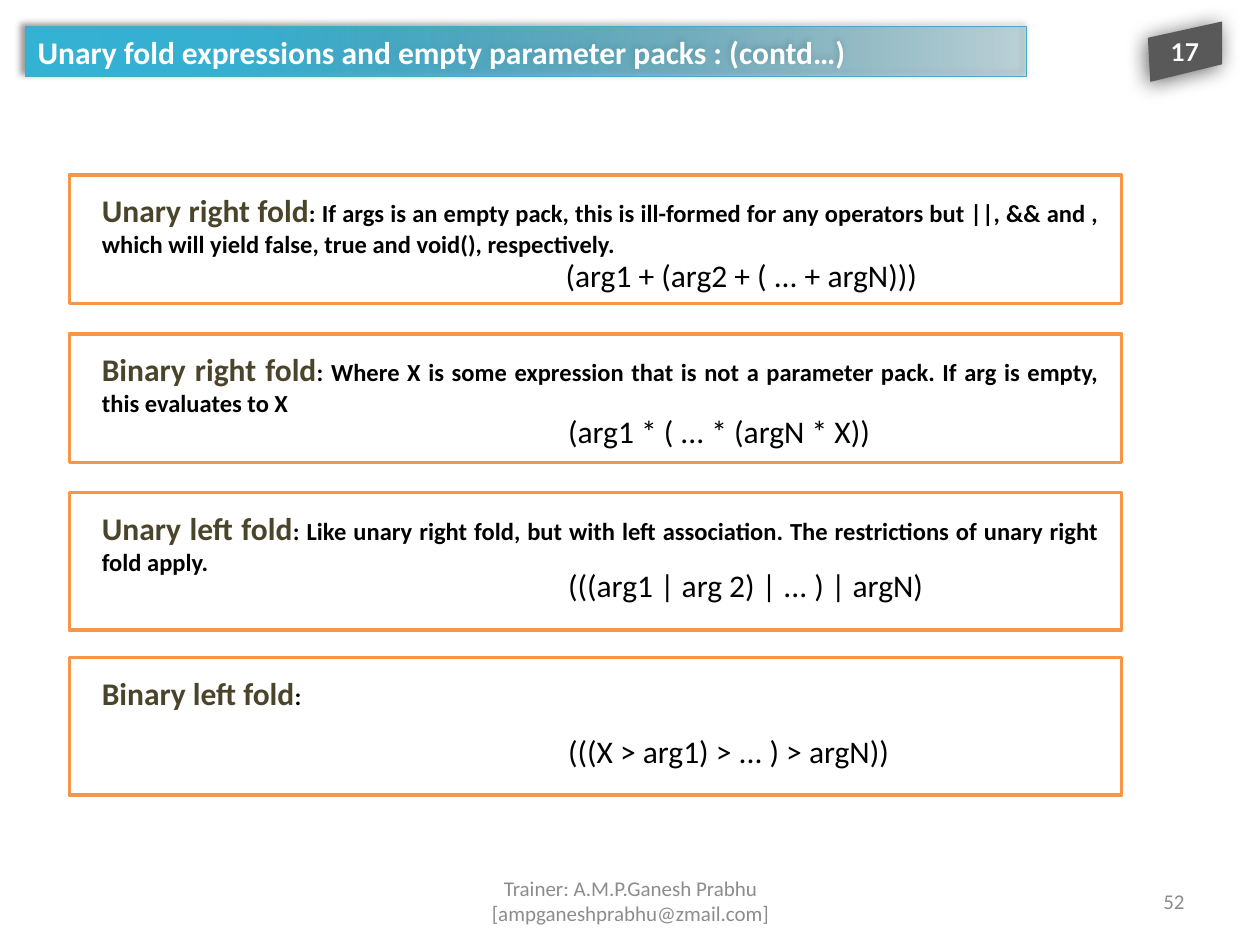
import lxml.etree
import pptx
import pptx.dml.color
import pptx.enum.shapes
import pptx.enum.text
import pptx.oxml
import pptx.oxml.ns
import pptx.util

ALIGN = pptx.enum.text.PP_ALIGN
ANCHOR = pptx.enum.text.MSO_ANCHOR
RECTANGLE = pptx.enum.shapes.MSO_SHAPE.RECTANGLE
THEME = {
    "colors": {"white": "FFFFFF", "black": "000000", "olive": "4A452A", "orange": "F79646",
               "teal": "46AAC5", "charcoal": "595959", "gray": "8C8C8C"},
    "gradient": [(0, "2A88A2", 23), (80, "37B1D2", 100), (100, "34B4D6", 100)],
    "title": {"name": "Calibri", "size": 18, "bold": True, "color": "white"},
    "badge": {"name": "Lato", "size": 14, "bold": True, "color": "white"},
    "term": {"name": "Calibri", "size": 18, "bold": True, "color": "olive"},
    "detail": {"name": "Calibri", "size": 14, "bold": True, "color": "black"},
    "formula": {"name": "Calibri", "size": 18, "bold": False, "color": "black"},
    "footer": {"name": "Calibri", "size": 12, "bold": False, "color": "gray"},
}

presentation = pptx.Presentation()
presentation.slide_width = pptx.util.Inches(10)
presentation.slide_height = pptx.util.Inches(7.5)
slide = presentation.slides.add_slide(presentation.slide_layouts[6])
column = presentation.slide_width / 100
row = presentation.slide_height / 75


def add_text(shape, runs, align=ALIGN.LEFT, anchor=ANCHOR.TOP):
    frame = shape.text_frame
    for name, value in {"word_wrap": True, "vertical_anchor": anchor}.items():
        setattr(frame, name, value)
    paragraph = frame.paragraphs[0]
    paragraph.alignment = align
    for text, style in runs:
        run = paragraph.add_run()
        run.text = text
        for name, value in THEME[style].items():
            if name == "color":
                run.font.color.rgb = pptx.dml.color.RGBColor.from_string(THEME["colors"][value])
            else:
                setattr(run.font, name, pptx.util.Pt(value) if name == "size" else value)


def add_shadow(shape, blur, distance, direction, opacity):
    namespace = pptx.oxml.ns.nsdecls("a")
    effects = pptx.oxml.parse_xml(
        f'<a:effectLst {namespace}><a:outerShdw blurRad="{pptx.util.Pt(blur)}" '
        f'dist="{pptx.util.Pt(distance)}" dir="{direction * 60000}" algn="ctr" rotWithShape="0">'
        f'<a:srgbClr val="{THEME["colors"]["black"]}"><a:alpha val="{opacity * 1000}"/></a:srgbClr>'
        '</a:outerShdw></a:effectLst>')
    shape._element.spPr.append(effects)


colors = {name: pptx.dml.color.RGBColor.from_string(value)
          for name, value in THEME["colors"].items()}

title = slide.shapes.add_shape(
    RECTANGLE, *map(int, (2 * column, 2.1 * row, 79.5 * column, 4 * row)))
title.line.color.rgb = colors["teal"]
title.line.width = pptx.util.Pt(0.75)
stops = "".join(
    f'<a:gs pos="{position * 1000}"><a:srgbClr val="{color}"><a:alpha val="{opacity * 1000}"/>'
    "</a:srgbClr></a:gs>" for position, color, opacity in THEME["gradient"])
gradient = pptx.oxml.parse_xml(
    f'<a:gradFill {pptx.oxml.ns.nsdecls("a")} rotWithShape="1"><a:gsLst>{stops}</a:gsLst>'
    '<a:lin ang="10800000" scaled="0"/></a:gradFill>')
title._element.spPr.find(pptx.oxml.ns.qn("a:prstGeom")).addnext(gradient)
add_shadow(title, 4, 3, 225, 40)
add_text(title, [("Unary fold expressions and empty parameter packs : (contd…)", "title")],
         anchor=ANCHOR.MIDDLE)

corners = [(91.1 * column, 3 * row), (97 * column, 1.7 * row),
           (97 * column, 5.1 * row), (91.3 * column, 6.5 * row)]
outline = slide.shapes.build_freeform(*map(int, corners[0]))
outline.add_line_segments([tuple(map(int, corner)) for corner in corners[1:]])
badge = outline.convert_to_shape()
badge.fill.solid()
badge.fill.fore_color.rgb = colors["charcoal"]
badge.line.fill.background()
add_shadow(badge, 12, 2, 135, 60)
for side in ("left", "top", "right", "bottom"):
    setattr(badge.text_frame, f"margin_{side}", 0)
add_text(badge, [("17", "badge")], ALIGN.CENTER, ANCHOR.MIDDLE)

folds = [
    (13.9, 10.2, 43.9, 19.8, "Unary right fold",
     ": If args is an empty pack, this is ill-formed for any operators but ||, && and , "
     "which will yield false, true and void(), respectively.",
     "(arg1 + (arg2 + ( ... + argN)))"),
    (26.5, 10.2, 44.1, 32.2, "Binary right fold",
     ": Where X is some expression that is not a parameter pack. If arg is empty, "
     "this evaluates to X",
     "(arg1 * ( ... * (argN * X))"),
    (39.1, 10.9, 44.1, 44.4, "Unary left fold",
     ": Like unary right fold, but with left association. "
     "The restrictions of unary right fold apply.",
     "(((arg1 | arg 2) | ... ) | argN)"),
    (52.2, 10.9, 44.1, 57.6, "Binary left fold", ":", "(((X > arg1) > ... ) > argN))"),
]
for top, height, formula_left, formula_top, term, detail, formula in folds:
    card = slide.shapes.add_shape(
        RECTANGLE, *map(int, (5.5 * column, top * row, 83.5 * column, height * row)))
    card.shadow.inherit = False
    card.fill.solid()
    card.fill.fore_color.rgb = colors["white"]
    card.line.color.rgb = colors["orange"]
    card.line.width = pptx.util.Pt(2)
    formula_box = slide.shapes.add_textbox(
        *map(int, (formula_left * column, formula_top * row, 37.8 * column, 4 * row)))
    add_text(formula_box, [(formula, "formula")])
    text_height = 6.4 if len(detail) > 1 else 4
    description = slide.shapes.add_textbox(
        *map(int, (7.1 * column, (top + 0.8) * row, 81.1 * column, text_height * row)))
    add_text(description, [(term, "term"), (detail, "detail")], ALIGN.JUSTIFY)

footers = [
    (34.2, 31.7, "Trainer: A.M.P.Ganesh Prabhu [ampganeshprabhu@zmail.com]", ALIGN.CENTER),
    (71.7, 23.3, "52", ALIGN.RIGHT),
]
for left, width, text, align in footers:
    footer = slide.shapes.add_textbox(
        *map(int, (left * column, 69.5 * row, width * column, 4 * row)))
    add_text(footer, [(text, "footer")], align, ANCHOR.MIDDLE)

presentation.save("out.pptx")
